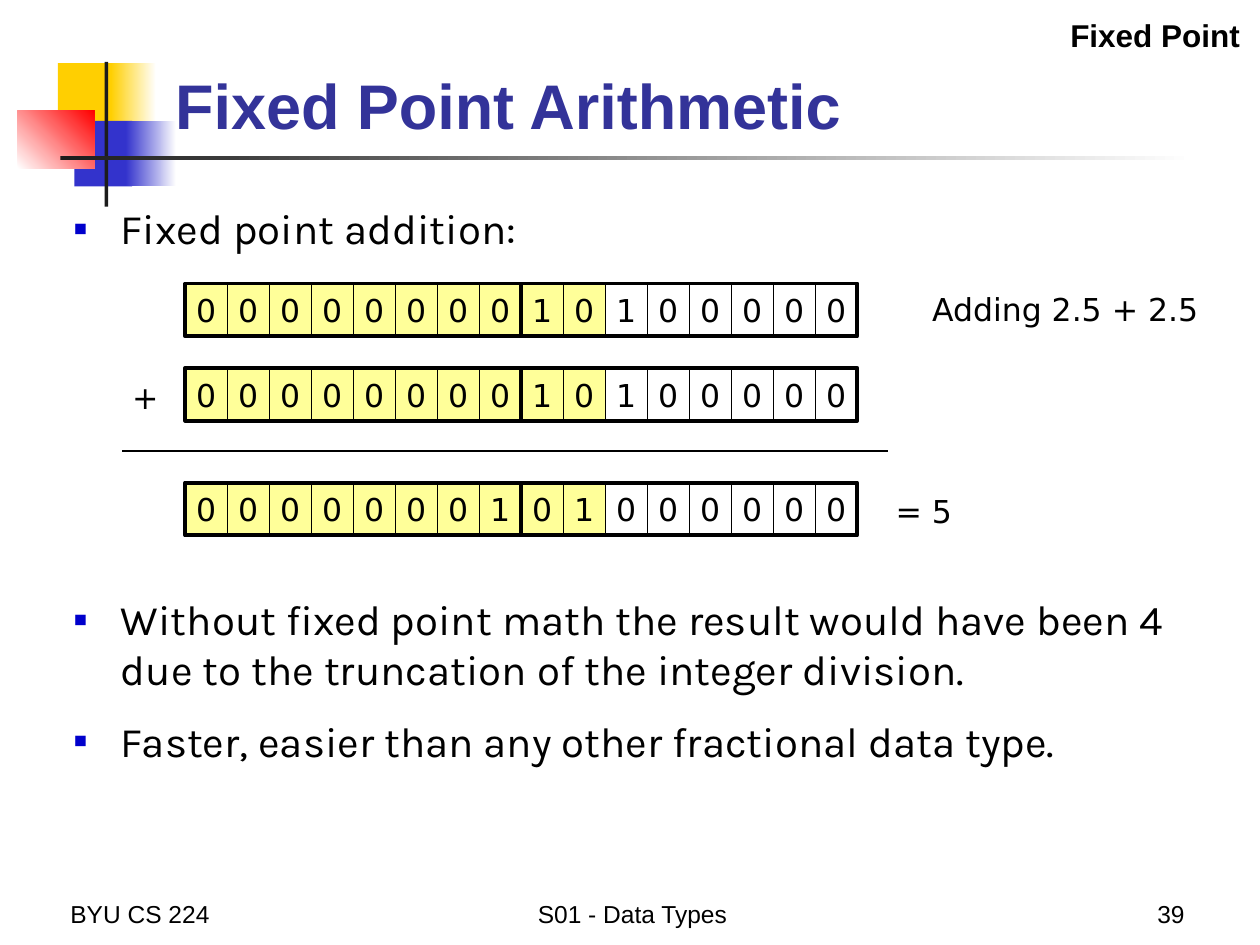
"""Build the slide on fixed point arithmetic."""
from dataclasses import dataclass
from typing import Optional

from lxml import etree
from pptx import Presentation
from pptx import util as u
from pptx.dml.color import RGBColor
from pptx.enum import shapes, text
from pptx.oxml import ns

BLACK = RGBColor(0x00, 0x00, 0x00)
WHITE = RGBColor(0xFF, 0xFF, 0xFF)
GOLD = RGBColor(0xFF, 0xCF, 0x01)
BLUE = RGBColor(0x33, 0x33, 0xCC)
RED = RGBColor(0xFF, 0x00, 0x00)
DARK = RGBColor(0x1C, 0x1C, 0x1C)
YELLOW = RGBColor(0xFF, 0xFF, 0x99)
TITLE_BLUE = RGBColor(0x33, 0x33, 0x99)
BULLET_BLUE = "0000CC"

ALIGN = text.PP_ALIGN
ANCHOR = text.MSO_ANCHOR
SANS, HEAD, BODY = "DejaVu Sans", "Arial", "Karla"
BIT_LEFT, BIT_W, BIT_H = 1.47, 1 / 3, 0.42
BYTE, INTEGER_BITS = 8, 10


@dataclass
class Box:
    left: float
    top: float
    width: float
    height: float

    def inches(self) -> tuple:
        return tuple(u.Inches(v) for v in (self.left, self.top, self.width, self.height))


@dataclass
class Block:
    box: Box
    start: RGBColor
    end: Optional[RGBColor] = None
    angle: float = 0


@dataclass
class Register:
    top: float
    bits: str


@dataclass
class Label:
    text: str
    box: Box
    font: str = SANS
    size: int = 18
    bold: bool = False
    align: ALIGN = ALIGN.LEFT
    anchor: ANCHOR = ANCHOR.TOP
    wrap: bool = True


BLOCKS = [
    Block(Box(0.46, 0.5, 0.48, 0.52), GOLD),
    Block(Box(0.88, 0.5, 0.36, 0.52), GOLD, WHITE),
    Block(Box(0.59, 0.96, 0.46, 0.52), BLUE),
    Block(Box(1, 0.96, 0.4, 0.52), BLUE, WHITE),
    Block(Box(0.14, 0.88, 0.61, 0.46), WHITE, RED, 45),
    Block(Box(0.83, 0.49, 0.03, 1.15), DARK),
    Block(Box(0.48, 1.24, 9, 0.03), DARK, WHITE),
]
REGISTERS = [
    Register(2.25, "0000000010100000"),
    Register(2.92, "0000000010100000"),
    Register(3.83, "0000000101000000"),
]
LABELS = [
    Label("BYU CS 224", Box(0.46, 6.92, 2.08, 0.5), HEAD, 14, anchor=ANCHOR.BOTTOM),
    Label("S01 - Data Types", Box(2.92, 6.92, 4.2, 0.5), HEAD, 14,
          align=ALIGN.CENTER, anchor=ANCHOR.BOTTOM),
    Label("39", Box(7.42, 6.92, 2.08, 0.5), HEAD, 14,
          align=ALIGN.RIGHT, anchor=ANCHOR.BOTTOM),
    Label("Fixed Point", Box(7.07, 0.08, 2.87, 0.4), HEAD, bold=True, align=ALIGN.RIGHT),
    Label("Adding 2.5 + 2.5", Box(7.3, 2.25, 2.47, 0.4)),
    Label("+", Box(0.95, 2.95, 0.41, 0.4), wrap=False),
    Label("= 5", Box(7.01, 3.86, 0.83, 0.4)),
]
LISTS = [
    (Box(0.48, 1.56, 9, 0.5), ["Fixed point addition:"]),
    (Box(0.48, 4.66, 9, 1.51), [
        "Without fixed point math the result would have been 4 "
        "due to the truncation of the integer division.",
        "Faster, easier than any other fractional data type.",
    ]),
]


def add_bullet(p) -> None:
    """Give a paragraph a square bullet with a hanging indent."""
    pPr = p._p.get_or_add_pPr()
    pPr.set("marL", str(u.Inches(0.38)))
    pPr.set("indent", str(u.Inches(-0.38)))
    color = etree.SubElement(pPr, ns.qn("a:buClr"))
    etree.SubElement(color, ns.qn("a:srgbClr"), val=BULLET_BLUE)
    etree.SubElement(pPr, ns.qn("a:buFont"), typeface=HEAD)
    etree.SubElement(pPr, ns.qn("a:buChar"), char="▪")


def write(p, content: str, *, font: str = SANS, size: int = 18, bold: bool = False,
          color: RGBColor = BLACK, align: ALIGN = ALIGN.LEFT,
          before: int = 0, bullet: bool = False) -> None:
    """Fill a paragraph with formatted text."""
    if bullet:
        add_bullet(p)
    p.alignment, p.space_before = align, u.Pt(before)
    r = p.add_run()
    r.text = content
    r.font.name, r.font.size, r.font.bold = font, u.Pt(size), bold
    r.font.color.rgb = color


def frame(sp, anchor: ANCHOR, wrap: bool = True):
    """Set up and return the text frame of a shape."""
    tf = sp.text_frame
    tf.auto_size = text.MSO_AUTO_SIZE.NONE
    tf.vertical_anchor, tf.word_wrap = anchor, wrap
    return tf


def place(sp, box: Box) -> None:
    """Move and size a placeholder."""
    sp.left, sp.top, sp.width, sp.height = box.inches()


def add_rect(s, box: Box, fill: Optional[RGBColor] = None, line: float = 0):
    """Add a rectangle with an optional fill and black outline."""
    sp = s.shapes.add_shape(shapes.MSO_SHAPE.RECTANGLE, *box.inches())
    sp.shadow.inherit = False
    if fill is None:
        sp.fill.background()
    else:
        sp.fill.solid()
        sp.fill.fore_color.rgb = fill
    if line:
        sp.line.color.rgb, sp.line.width = BLACK, u.Pt(line)
    else:
        sp.line.fill.background()
    return sp


def add_block(s, block: Block) -> None:
    """Add one solid or fading block of the header ornament."""
    sp = add_rect(s, block.box, block.start)
    if block.end is not None:
        sp.fill.gradient()
        sp.fill.gradient_angle = block.angle
        for stop, color in zip(sp.fill.gradient_stops, (block.start, block.end)):
            stop.color.rgb = color


def add_register(s, register: Register) -> None:
    """Add a row of bit cells with a heavy outline around each byte."""
    for i, bit in enumerate(register.bits):
        box = Box(BIT_LEFT + i * BIT_W, register.top, BIT_W, BIT_H)
        sp = add_rect(s, box, YELLOW if i < INTEGER_BITS else None, 0.75)
        tf = frame(sp, ANCHOR.MIDDLE, wrap=False)
        write(tf.paragraphs[0], bit, align=ALIGN.CENTER)
    for i in range(0, len(register.bits), BYTE):
        add_rect(s, Box(BIT_LEFT + i * BIT_W, register.top, BYTE * BIT_W, BIT_H), line=2.25)


def add_label(s, label: Label) -> None:
    """Add a text box."""
    tf = frame(s.shapes.add_textbox(*label.box.inches()), label.anchor, label.wrap)
    write(tf.paragraphs[0], label.text, font=label.font, size=label.size,
          bold=label.bold, align=label.align)


def add_sum_line(s) -> None:
    """Add the rule above the result."""
    line = s.shapes.add_connector(shapes.MSO_CONNECTOR.STRAIGHT, u.Inches(0.97),
                                  u.Inches(3.58), u.Inches(7.05), u.Inches(3.58))
    line.line.color.rgb, line.line.width = BLACK, u.Pt(0.75)
    etree.SubElement(line._element.spPr, ns.qn("a:effectLst"))


def main() -> None:
    """Build and save the slide."""
    prs = Presentation()
    prs.slide_width, prs.slide_height = u.Inches(10), u.Inches(7.5)
    s = prs.slides.add_slide(prs.slide_layouts.get_by_name("Two Content"))
    for block in BLOCKS:
        add_block(s, block)
    title, *bodies = s.placeholders
    place(title, Box(1.29, 0.23, 8.52, 0.95))
    write(frame(title, ANCHOR.BOTTOM).paragraphs[0], "Fixed Point Arithmetic",
          font=HEAD, size=36, bold=True, color=TITLE_BLUE)
    for sp, (box, items) in zip(bodies, LISTS):
        place(sp, box)
        tf = frame(sp, ANCHOR.TOP)
        for i, item in enumerate(items):
            p = tf.add_paragraph() if i else tf.paragraphs[0]
            write(p, item, font=BODY, size=24, before=12 if i else 0, bullet=True)
    for register in REGISTERS:
        add_register(s, register)
    add_sum_line(s)
    for label in LABELS:
        add_label(s, label)
    prs.save("out.pptx")


if __name__ == "__main__":
    main()
